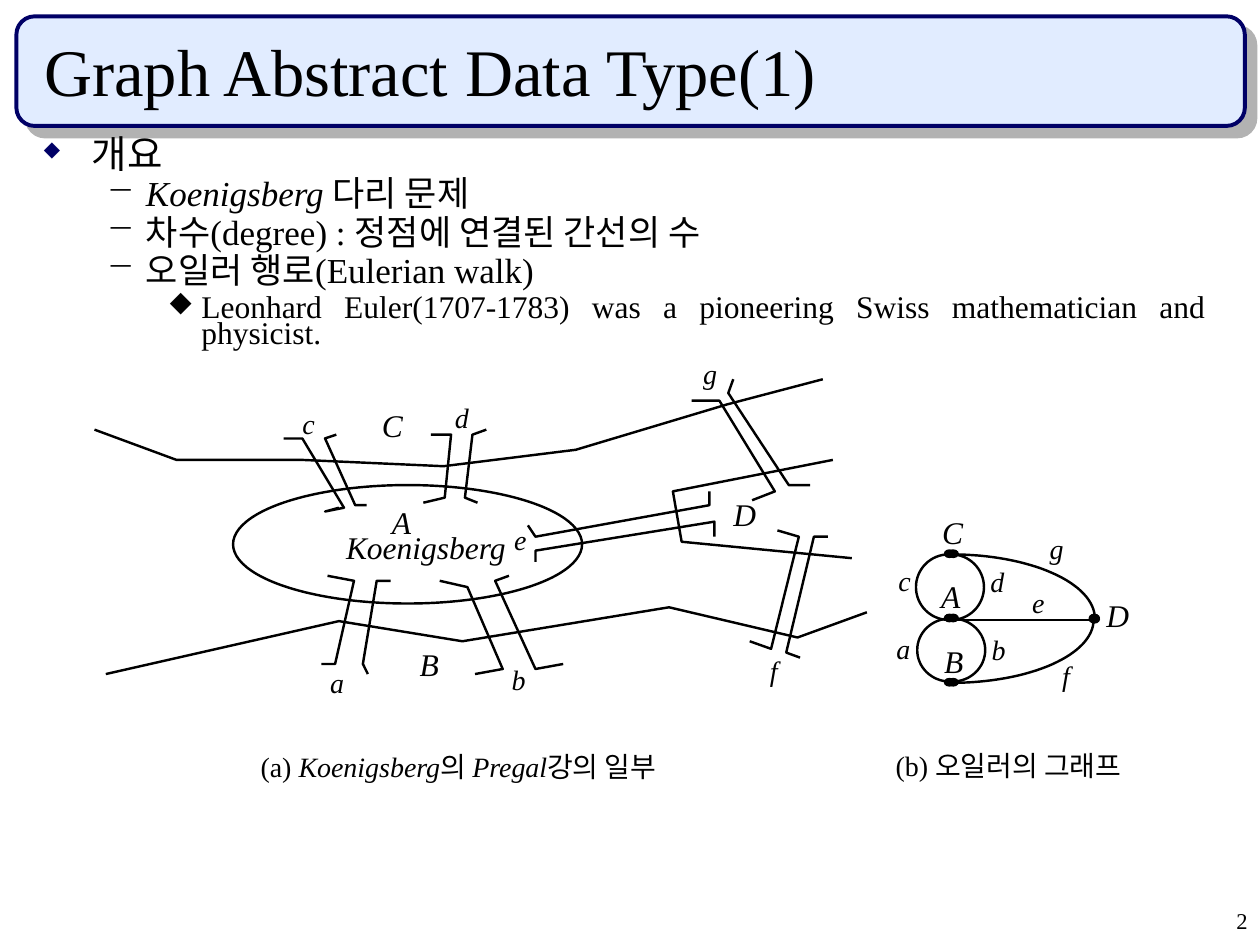
"""Builds the slide on the graph abstract data type and the seven bridges problem."""
import math
from itertools import product

from lxml import etree
from pptx import Presentation
from pptx import util as u
from pptx.dml.color import RGBColor
from pptx.enum import shapes, text
from pptx.oxml.ns import qn

COLORS = {"ink": "000000", "navy": "000066", "bar": "E1ECFF", "shadow": "B2B2B2", "land": "FFFFFF"}
FONT = "Times New Roman"
STROKE = 1.39
TITLE = "Graph Abstract Data Type(1)"
PAGE_NUMBER = "2"

LEVELS = [
    {"indent": 0.38, "hang": 0.38, "size": 22, "before": 5.5, "bullet": "◆", "color": "navy", "scale": 55},
    {"indent": 0.81, "hang": 0.31, "size": 20, "before": 5, "bullet": "−", "color": "ink", "scale": 100},
    {"indent": 1.25, "hang": 0.25, "size": 18, "before": 4.5, "bullet": "◆", "color": "ink", "scale": 90},
]
OUTLINE = [
    (0, [("개요", False)]),
    (1, [("Koenigsberg ", True), ("다리 문제", False)]),
    (1, [("차수(degree) : 정점에 연결된 간선의 수", False)]),
    (1, [("오일러 행로(Eulerian walk)", False)]),
    (2, [("Leonhard Euler(1707-1783) was a pioneering Swiss mathematician and physicist.", False)]),
]
CAPTIONS = [
    ((1.97, 5.9, 3.54, 0.37), [("(a) ", False), ("Koenigsberg", True), ("의 ", False),
                               ("Pregal", True), ("강의 일부", False)]),
    ((7.01, 5.89, 2.05, 0.37), [("(b) 오일러의 그래프", False)]),
]
RIVER_BANKS = [
    [(0.75, 3.41), (1.4, 3.65), (2.39, 3.65), (3.52, 3.7), (4.57, 3.57), (5.77, 3.21), (6.53, 3.01)],
    [(0.84, 5.35), (2.69, 4.93), (3.67, 5.09), (5.31, 4.82), (6.33, 5.06), (6.88, 4.86)],
]
ISLAND = (1.85, 3.85, 2.77, 0.94)
PENINSULA = [(6.61, 3.65), (5.34, 3.9), (5.41, 4.3), (6.76, 4.43)]
BRIDGES = {
    "c": [[(2.25, 3.48), (2.4, 3.48), (2.73, 4.03), (2.58, 4.06), (2.69, 4.03)],
          [(2.67, 3.45), (2.58, 3.48), (2.82, 4.01), (2.91, 4.01)]],
    "d": [[(3.42, 3.45), (3.58, 3.45), (3.53, 3.95), (3.36, 3.99)],
          [(3.86, 3.41), (3.75, 3.45), (3.69, 3.95), (3.79, 3.99)]],
    "a": [[(2.6, 4.57), (2.81, 4.61), (2.66, 5.27), (2.55, 5.27)],
          [(3.1, 4.61), (2.99, 4.61), (2.88, 5.27), (2.92, 5.35)]],
    "b": [[(3.49, 4.61), (3.71, 4.66), (3.99, 5.31), (3.77, 5.35)],
          [(4.04, 4.57), (3.93, 4.61), (4.25, 5.31), (4.47, 5.27)]],
    "e": [[(4.19, 4.17), (4.25, 4.26), (5.63, 4.01), (5.63, 3.9)],
          [(4.25, 4.46), (4.25, 4.37), (5.67, 4.14), (5.67, 4.26)]],
    "g": [[(5.49, 3.18), (5.71, 3.18), (6.15, 3.9), (5.97, 3.97)],
          [(5.82, 3.01), (5.78, 3.12), (6.26, 3.85), (6.43, 3.85)]],
    "f": [[(6.17, 4.21), (6.34, 4.26), (6.12, 5.15), (5.95, 5.09)],
          [(6.57, 4.26), (6.46, 4.26), (6.24, 5.18), (6.35, 5.22)]],
}
GRAPH_ARCS = [
    (7.53, 4.66, 0.26, 0.26, 90, 270), (7.54, 5.16, 0.26, 0.25, 90, 270),
    (7.55, 4.66, 0.26, 0.26, -90, 90), (7.56, 5.16, 0.26, 0.25, -90, 90),
    (7.55, 4.91, 1.14, 0.51, -90, 0), (7.55, 4.92, 1.13, 0.5, 0, 90),
]
EDGE_E = (7.56, 4.92, 8.69, 4.92)
NODES = [*product((7.49, 7.52), (4.36, 4.87, 5.38)), (8.64, 4.87), (8.64, 4.88)]
NODE_SIZE = (0.09, 0.07)
LABELS = [
    ("c", 2.4, 3.28, 0.1), ("d", 3.61, 3.23, 0.11), ("e", 4.08, 4.2, 0.1), ("f", 6.11, 5.24, 0.06),
    ("g", 5.58, 2.88, 0.11), ("b", 4.06, 5.31, 0.11), ("a", 2.62, 5.33, 0.11),
    ("C", 3.03, 3.28, 0.17), ("B", 3.33, 5.18, 0.15), ("D", 5.82, 3.99, 0.18),
    ("A", 3.11, 4.05, 0.15), ("Koenigsberg", 2.74, 4.25, 1.28),
    ("D", 8.78, 4.79, 0.18), ("A", 7.47, 4.64, 0.15), ("C", 7.44, 4.13, 0.24), ("B", 7.44, 5.15, 0.26),
    ("c", 7.06, 4.52, 0.24), ("a", 7.05, 5.06, 0.24), ("d", 7.86, 4.53, 0.11), ("b", 7.87, 5.07, 0.11),
    ("e", 8.19, 4.7, 0.1), ("g", 8.33, 4.27, 0.11), ("f", 8.43, 5.28, 0.06),
]


def cm(inches):
    return u.Cm(inches * 2.54)


def apply(target, values):
    for name, value in values.items():
        setattr(target, name, value)


def rgb(name):
    return RGBColor.from_string(COLORS[name])


def add_runs(paragraph, runs, size):
    for wording, italic in runs:
        run = paragraph.add_run()
        run.text = wording
        apply(run.font, {"size": u.Pt(size), "name": FONT, "italic": italic})
        run.font.color.rgb = rgb("ink")


def add_text(slide, box, runs, size, frame_format, paragraph_format):
    frame = slide.shapes.add_textbox(*map(cm, box)).text_frame
    apply(frame, frame_format)
    apply(frame.paragraphs[0], paragraph_format)
    add_runs(frame.paragraphs[0], runs, size)


def paint(shape, fill=None, line=None, width=STROKE):
    shape.shadow.inherit = False
    for part, color in ((shape.fill, fill), (shape.line.fill, line)):
        if color:
            part.solid()
            part.fore_color.rgb = rgb(color)
        else:
            part.background()
    if line:
        shape.line.width = u.Pt(width)


def add_outline(slide, points):
    start, *others = [(cm(x), cm(y)) for x, y in points]
    builder = slide.shapes.build_freeform(*start)
    builder.add_line_segments(others, close=False)
    paint(builder.convert_to_shape(), line="ink")


def add_preset(slide, kind, box, **colors):
    shape = slide.shapes.add_shape(kind, *map(cm, box))
    paint(shape, **colors)
    return shape


def arc_points(x, y, radius_x, radius_y, start, end, steps=32):
    angles = [math.radians(start + (end - start) * step / steps) for step in range(steps + 1)]
    return [(x + radius_x * math.cos(angle), y + radius_y * math.sin(angle)) for angle in angles]


def add_title(slide):
    bar = add_preset(slide, shapes.MSO_SHAPE.ROUNDED_RECTANGLE, (0.13, 0.13, 9.75, 0.87),
                     fill="bar", line="navy", width=2.25)
    effects = bar.element.spPr.find(qn("a:effectLst"))
    shadow = etree.SubElement(effects, qn("a:outerShdw"), dist=str(u.Pt(8.5)), dir="2700000",
                              algn="ctr", rotWithShape="0")
    etree.SubElement(shadow, qn("a:srgbClr"), val=COLORS["shadow"])
    title = slide.shapes.title
    title.element.addprevious(bar.element)
    apply(title, dict(zip(("left", "top", "width", "height"), map(cm, (0.25, 0.25, 9.42, 0.67)))))
    apply(title.text_frame, {"vertical_anchor": text.MSO_ANCHOR.BOTTOM, "word_wrap": True,
                             "auto_size": text.MSO_AUTO_SIZE.NONE})
    paragraph = title.text_frame.paragraphs[0]
    paragraph.alignment = text.PP_ALIGN.LEFT
    add_runs(paragraph, [(TITLE, False)], 38)


def add_body(slide):
    frame = slide.shapes.add_textbox(*map(cm, (0.25, 1.08, 9.42, 1.75))).text_frame
    frame.word_wrap = True
    for index, (depth, runs) in enumerate(OUTLINE):
        level = LEVELS[depth]
        paragraph = frame.add_paragraph() if index else frame.paragraphs[0]
        apply(paragraph, {"level": depth, "alignment": text.PP_ALIGN.JUSTIFY, "line_spacing": 0.7,
                          "space_before": u.Pt(level["before"])})
        add_runs(paragraph, runs, level["size"])
        properties = paragraph._p.get_or_add_pPr()
        properties.set("marL", str(cm(level["indent"])))
        properties.set("indent", str(-cm(level["hang"])))
        color = etree.SubElement(properties, qn("a:buClr"))
        etree.SubElement(color, qn("a:srgbClr"), val=COLORS[level["color"]])
        etree.SubElement(properties, qn("a:buSzPct"), val=str(level["scale"] * 1000))
        etree.SubElement(properties, qn("a:buChar"), char=level["bullet"])


def add_map(slide):
    for bank in RIVER_BANKS:
        add_outline(slide, bank)
    add_preset(slide, shapes.MSO_SHAPE.OVAL, ISLAND, fill="land", line="ink")
    add_outline(slide, PENINSULA)
    for sides in BRIDGES.values():
        for side in sides:
            add_outline(slide, side)


def add_graph(slide):
    for arc in GRAPH_ARCS:
        add_outline(slide, arc_points(*arc))
    edge = slide.shapes.add_connector(shapes.MSO_CONNECTOR.STRAIGHT, *map(cm, EDGE_E))
    edge.line.color.rgb = rgb("ink")
    edge.line.width = u.Pt(STROKE)
    etree.SubElement(edge.element.spPr, qn("a:effectLst"))
    for node in NODES:
        add_preset(slide, shapes.MSO_SHAPE.OVAL, (*node, *NODE_SIZE), fill="ink")


def add_wording(slide):
    fitted = {"word_wrap": False, "auto_size": text.MSO_AUTO_SIZE.SHAPE_TO_FIT_TEXT}
    tight = {**fitted, **dict.fromkeys(("margin_left", "margin_top", "margin_right", "margin_bottom"), 0)}
    for wording, left, top, width in LABELS:
        size, height = (18, 0.24) if wording[0].isupper() else (16, 0.21)
        add_text(slide, (left, top, width, height), [(wording, True)], size, tight,
                 {"alignment": text.PP_ALIGN.CENTER, "line_spacing": 0.8, "space_before": u.Pt(size / 4)})
    for box, runs in CAPTIONS:
        add_text(slide, box, runs, 16, fitted, {})
    add_text(slide, (7.92, 7.17, 2.08, 0.33), [(PAGE_NUMBER, False)], 12.9, {"word_wrap": True},
             {"alignment": text.PP_ALIGN.RIGHT, "line_spacing": 0.9, "space_before": u.Pt(8.8)})


def main():
    presentation = Presentation()
    apply(presentation, {"slide_width": cm(10), "slide_height": cm(7.5)})
    slide = presentation.slides.add_slide(presentation.slide_layouts[5])
    for add_part in (add_title, add_body, add_map, add_graph, add_wording):
        add_part(slide)
    presentation.save("out.pptx")


if __name__ == "__main__":
    main()
